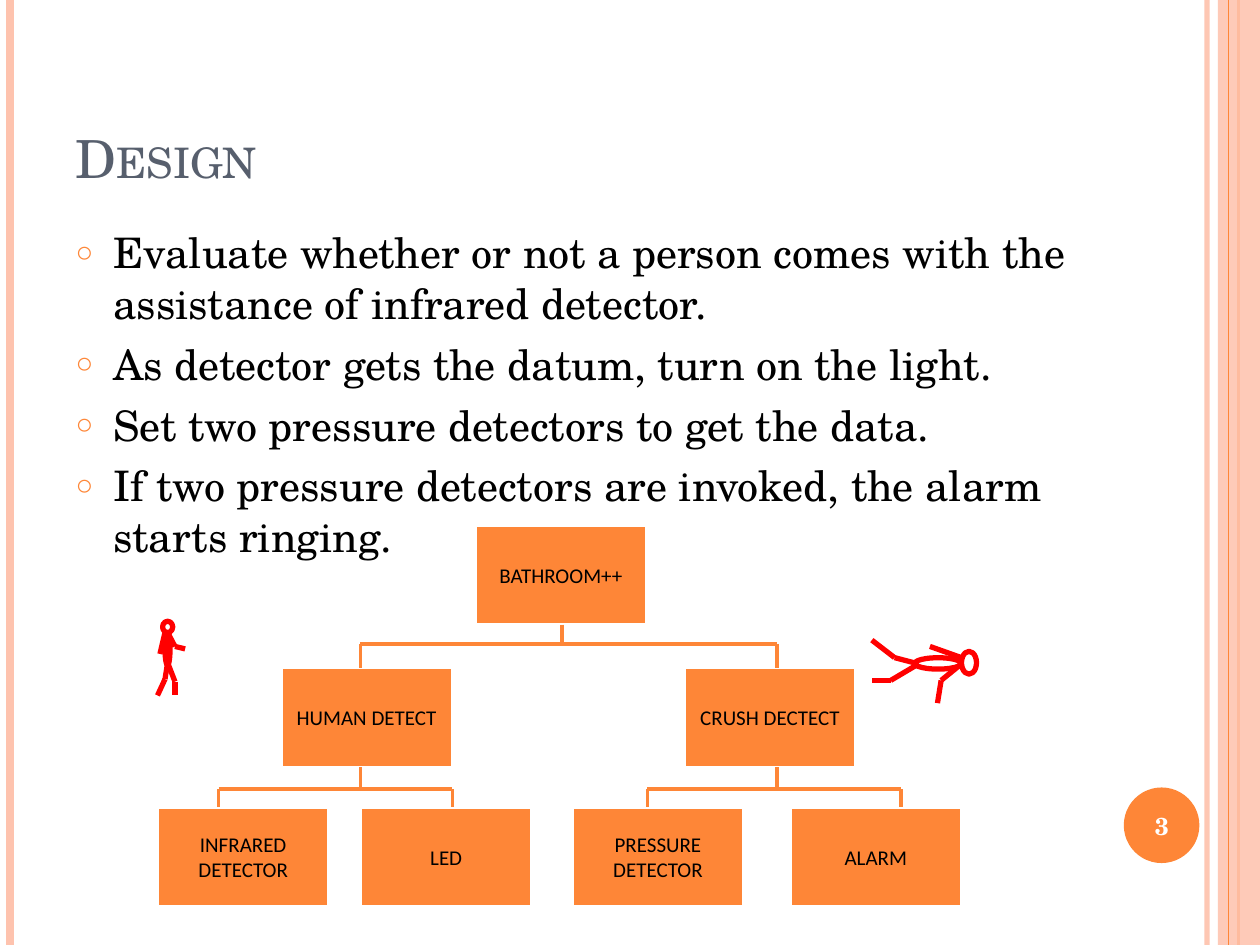
from dataclasses import dataclass
from itertools import pairwise

from lxml.etree import SubElement
from pptx import Presentation
from pptx.dml.color import RGBColor
from pptx.enum.shapes import MSO_CONNECTOR, MSO_SHAPE
from pptx.enum.text import MSO_ANCHOR, MSO_AUTO_SIZE, PP_ALIGN
from pptx.oxml.ns import qn
from pptx.util import Pt


@dataclass(frozen=True)
class Theme:
    accent: str = "FE8637"
    pale: str = "FEC3AE"
    title: str = "575F6D"
    text: str = "000000"
    white: str = "FFFFFF"
    figure: str = "FF0000"
    serif: str = "TeX Gyre Schola"
    sans: str = "Calibri"
    title_size: float = 30
    body_size: float = 24
    box_size: float = 12
    number_size: float = 14


def add_text(p, text, *, font, size, color, bold=False, small_caps=False, align=None):
    r = p.add_run()
    r.text = text
    r.font.name = font
    r.font.size = Pt(size)
    r.font.bold = bold
    r.font.color.rgb = RGBColor.from_string(color)
    if small_caps:
        r.font._element.set("cap", "small")
    if align is not None:
        p.alignment = align


def set_alpha(element, percent):
    color = element.find(".//" + qn("a:srgbClr"))
    SubElement(color, qn("a:alpha"), val=str(percent * 1000))


class SlideBuilder:
    def __init__(self, s, theme):
        self.s = s
        self.theme = theme

    def place(self, sp, x, y, w, h):
        sp.left, sp.top, sp.width, sp.height = map(Pt, (x, y, w, h))

    def title(self, text, *at):
        t = self.theme
        sp = self.s.shapes.title
        self.place(sp, *at)
        tf = sp.text_frame
        tf.auto_size = MSO_AUTO_SIZE.NONE
        tf.vertical_anchor = MSO_ANCHOR.BOTTOM
        add_text(tf.paragraphs[0], text, font=t.serif, size=t.title_size,
                 color=t.title, small_caps=True, align=PP_ALIGN.LEFT)

    def bullets(self, items, *at):
        t = self.theme
        sp = self.s.placeholders[1]
        self.place(sp, *at)
        tf = sp.text_frame
        tf.auto_size = MSO_AUTO_SIZE.NONE
        for i, item in enumerate(items):
            p = tf.add_paragraph() if i else tf.paragraphs[0]
            pPr = p._p.get_or_add_pPr()
            pPr.set("marL", str(Pt(21.6)))
            pPr.set("indent", str(-Pt(21.6)))
            SubElement(SubElement(pPr, qn("a:buClr")), qn("a:srgbClr"), val=t.accent)
            SubElement(pPr, qn("a:buSzPct"), val="70000")
            SubElement(pPr, qn("a:buChar"), char="○")
            p.space_before = Pt(6 if i else 0)
            add_text(p, item, font=t.serif, size=t.body_size, color=t.text)

    def shape(self, kind, *at, fill=None, line=None, width=1, rotation=0):
        sp = self.s.shapes.add_shape(kind, *map(Pt, at))
        sp.shadow.inherit = False
        sp.rotation = rotation
        if fill:
            sp.fill.solid()
            sp.fill.fore_color.rgb = RGBColor.from_string(fill)
        else:
            sp.fill.background()
        if line:
            sp.line.color.rgb = RGBColor.from_string(line)
            sp.line.width = Pt(width)
        else:
            sp.line.fill.background()
        return sp

    def box(self, text, *at):
        t = self.theme
        sp = self.shape(MSO_SHAPE.RECTANGLE, *at, fill=t.accent, line=t.white, width=2)
        tf = sp.text_frame
        tf.word_wrap = True
        tf.margin_left = tf.margin_right = Pt(6)
        tf.vertical_anchor = MSO_ANCHOR.MIDDLE
        add_text(tf.paragraphs[0], text, font=t.sans, size=t.box_size,
                 color=t.text, align=PP_ALIGN.CENTER)

    def line(self, *points, color, width):
        for start, end in pairwise(points):
            c = self.s.shapes.add_connector(MSO_CONNECTOR.STRAIGHT, *map(Pt, start + end))
            c.line.color.rgb = RGBColor.from_string(color)
            c.line.width = Pt(width)
            SubElement(c._element.spPr, qn("a:effectLst"))
        return c

    def branch(self, stem, top, bar, bottom, left, right):
        style = {"color": self.theme.accent, "width": 2}
        self.line((left, bottom), (left, bar), (right, bar), (right, bottom), **style)
        self.line((stem, top), (stem, bar), **style)

    def figure(self, ovals, limbs, rotation=0):
        color = self.theme.figure
        for oval in ovals:
            self.shape(MSO_SHAPE.OVAL, *oval, line=color, width=3, rotation=rotation)
        for limb in limbs:
            self.line(*limb, color=color, width=3)

    def number(self, text, *at):
        t = self.theme
        tf = self.s.shapes.add_textbox(*map(Pt, at)).text_frame
        tf.word_wrap = True
        tf.vertical_anchor = MSO_ANCHOR.MIDDLE
        add_text(tf.paragraphs[0], text, font=t.serif, size=t.number_size,
                 color=t.white, bold=True, align=PP_ALIGN.CENTER)

    def frame(self, height):
        t = self.theme

        def rule(x, color, width):
            return self.line((x, 0), (x, height), color=color, width=width)

        set_alpha(rule(689.8, t.pale, 3)._element, 93)
        rule(5.8, t.pale, 4.5)
        rule(707.8, t.accent, 1.5)
        band = self.shape(MSO_SHAPE.RECTANGLE, 696, 0, 24, height, fill=t.pale)
        set_alpha(band._element, 87)
        rule(702, t.accent, 0.75)
        self.shape(MSO_SHAPE.OVAL, 642.2, 450, 43.2, 43.2, fill=t.accent)


def main():
    prs = Presentation()
    prs.slide_width, prs.slide_height = Pt(720), Pt(540)
    b = SlideBuilder(prs.slides.add_slide(prs.slide_layouts[1]), Theme())

    b.frame(540)
    b.title("Design", 36, 21.6, 588, 90)
    b.bullets([
        "Evaluate whether or not a person comes with the assistance of infrared detector.",
        "As detector gets the datum, turn on the light.",
        "Set two pressure detectors to get the data.",
        "If two pressure detectors are invoked, the alarm starts ringing.",
    ], 36, 126, 582, 192)

    box_w, box_h = 98, 57
    rows = [300, 381.5, 461]
    levels = [
        [("BATHROOM++", 271.5)],
        [("HUMAN DETECT", 160.5), ("CRUSH DECTECT", 391)],
        [("INFRARED DETECTOR", 90), ("LED", 206),
         ("PRESSURE DETECTOR", 327), ("ALARM", 451.5)],
    ]
    for y, level in zip(rows, levels):
        for text, x in level:
            b.box(text, x, y, box_w, box_h)

    branches = [(0, 368, 321, 206, 444), (1, 451, 206, 125, 258.5), (1, 451, 444, 370, 515)]
    for row, bar, stem, left, right in branches:
        b.branch(stem, rows[row] + box_h, bar, rows[row + 1], left, right)

    hip, fallen_hip = (95.8, 378.7), (524.9, 379.4)
    b.figure(
        ovals=[(92.9, 355, 5.8, 6.5), (94.3, 361.4, 2.9, 18.7)],
        limbs=[
            [hip, (94.3, 388.1), (90, 397.4)],
            [hip, (100, 389.5), (100, 397.4)],
            [(94.3, 361.4), (91.4, 373.7)],
            [(95.8, 361.4), (100, 369.4), (105.8, 370.8)],
        ])
    b.figure(
        ovals=[(547.2, 374.4, 13, 8.6), (532.8, 365.8, 6.5, 26.6)],
        limbs=[
            [fallen_hip, (509, 388.8), (498.2, 388.8)],
            [fallen_hip, (511.2, 375.8), (498.2, 365.8)],
            [(549.4, 375.8), (531.4, 369.4)],
            [(549.4, 379.4), (537.8, 388.8), (535.7, 401.8)],
        ],
        rotation=90)
    b.number("3", 640, 451.5, 48, 41)

    prs.save("out.pptx")


if __name__ == "__main__":
    main()
